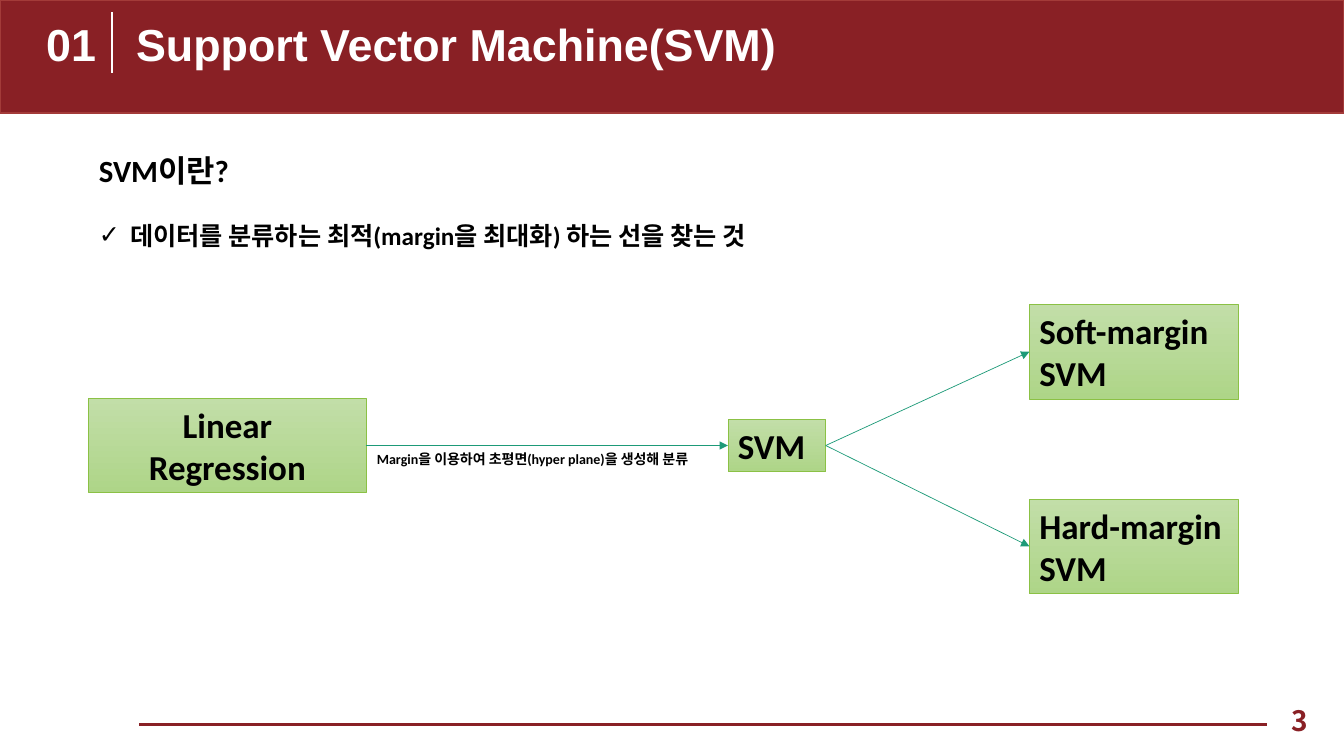
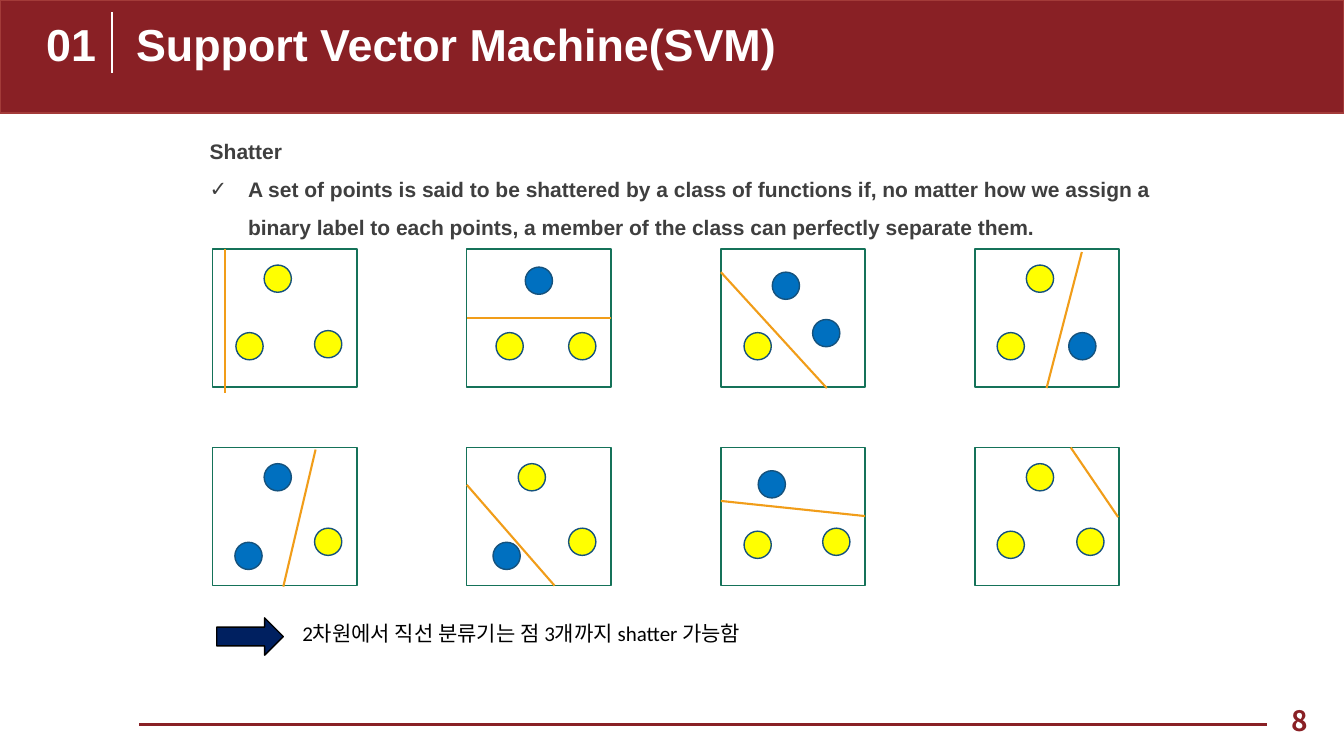
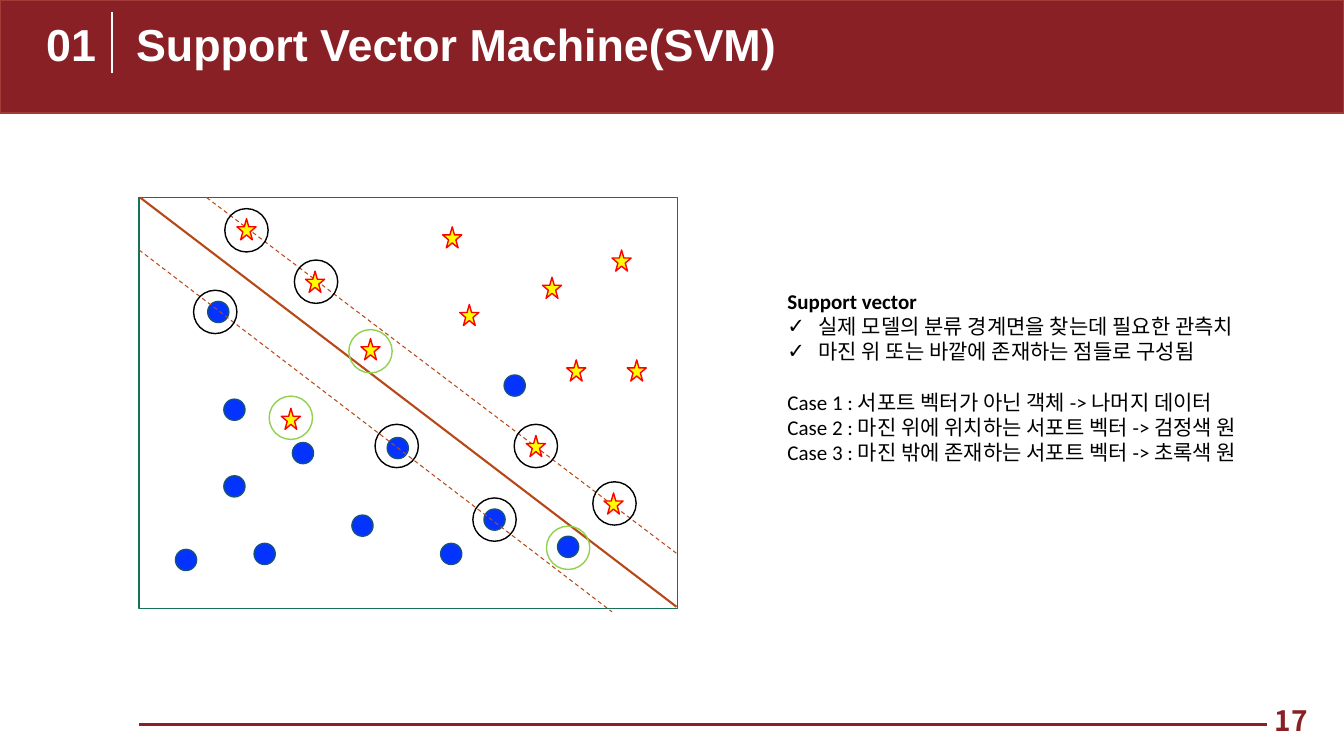
from lxml.etree import SubElement
from pptx import Presentation
from pptx.dml.color import RGBColor
from pptx.enum.dml import MSO_LINE
from pptx.enum.shapes import MSO_CONNECTOR, MSO_SHAPE, MSO_SHAPE_TYPE
from pptx.enum.text import MSO_ANCHOR, MSO_AUTO_SIZE, PP_ALIGN
from pptx.oxml.ns import qn
from pptx.util import Inches, Pt

CRIMSON = RGBColor(0x89, 0x20, 0x25)
BAND_EDGE = RGBColor(0xA3, 0x3B, 0x39)
WHITE = RGBColor(0xFF, 0xFF, 0xFF)
BLACK = RGBColor(0x00, 0x00, 0x00)
CHARCOAL = RGBColor(0x3F, 0x3F, 0x3F)
LIGHT_GREEN = RGBColor(0xC2, 0xDE, 0xA8)
MID_GREEN = RGBColor(0xAE, 0xD5, 0x88)
LEAF_EDGE = RGBColor(0x8B, 0xC1, 0x45)
TEAL = RGBColor(0x1D, 0x9A, 0x78)
FRAME_GREEN = RGBColor(0x15, 0x72, 0x59)
YELLOW = RGBColor(0xFF, 0xFF, 0x00)
BLUE = RGBColor(0x00, 0x70, 0xC0)
BRIGHT_BLUE = RGBColor(0x04, 0x33, 0xFF)
DOT_EDGE = RGBColor(0x15, 0x52, 0x7D)
ORANGE = RGBColor(0xF1, 0x9D, 0x19)
NAVY = RGBColor(0x00, 0x20, 0x60)
RUST = RGBColor(0xB7, 0x49, 0x19)
RED = RGBColor(0xFF, 0x00, 0x00)
LIME = RGBColor(0x92, 0xD0, 0x50)


def draw(slide, kind, box, fill, edge, width=1):
    shape = slide.shapes.add_shape(kind, *map(Inches, box))
    shape.shadow.inherit = False
    if fill is None:
        shape.fill.background()
    else:
        shape.fill.solid()
        shape.fill.fore_color.rgb = fill
    shape.line.color.rgb = edge
    shape.line.width = Pt(width)
    return shape


def write(paragraph, text, size, font="Calibri", colour=BLACK, bold=True, align=PP_ALIGN.LEFT):
    paragraph.alignment = align
    run = paragraph.add_run()
    run.text = text
    run.font.size = Pt(size)
    run.font.name = font
    run.font.bold = bold
    run.font.color.rgb = colour


prs = Presentation()
prs.slide_width = Inches(13.33)
prs.slide_height = Inches(7.5)
layout = prs.slide_layouts[1]
heading = layout.placeholders[0]
heading.left, heading.top, heading.width, heading.height = map(Inches, (1.25, 0.15, 11.11, 0.57))
slides = [prs.slides.add_slide(layout) for _ in range(3)]
overview, shatter, support = slides

# Band and rules: drawn once, then moved to the shared layout
chrome = [draw(overview, MSO_SHAPE.RECTANGLE, (0, 0, 13.33, 1.12), CRIMSON, BAND_EDGE)]
for ends, colour, width in [((1.11, 0.12, 1.11, 0.72), WHITE, 1),
                            ((1.38, 7.19, 12.57, 7.19), CRIMSON, 2.5)]:
    rule = overview.shapes.add_connector(MSO_CONNECTOR.STRAIGHT, *map(Inches, ends))
    rule.line.color.rgb = colour
    rule.line.width = Pt(width)
    chrome.append(rule)
for shape_id, piece in enumerate(chrome, start=20):
    piece.element.xpath(".//p:cNvPr")[0].set("id", str(shape_id))
    layout.shapes.element.append(piece.element)

# Title, section number and page number
for slide, page in zip(slides, ("3", "8", "17")):
    title = slide.shapes.title.text_frame
    title.auto_size = MSO_AUTO_SIZE.NONE
    title.vertical_anchor = MSO_ANCHOR.MIDDLE
    write(title.paragraphs[0], "Support Vector Machine(SVM)", 32, "Arial", WHITE)
    section = slide.shapes.add_textbox(*map(Inches, (0.36, 0.12, 0.79, 0.57))).text_frame
    section.word_wrap = True
    write(section.paragraphs[0], "01", 32, "Arial", WHITE)
    page_number = slide.shapes.add_textbox(*map(Inches, (9.42, 6.95, 3.65, 0.4))).text_frame
    page_number.word_wrap = True
    page_number.vertical_anchor = MSO_ANCHOR.MIDDLE
    write(page_number.paragraphs[0], page, 20, "Noto Sans CJK KR", CRIMSON, align=PP_ALIGN.RIGHT)

# Body lists: (text, size, bold, bullet indent, space before)
bodies = [
    (overview, (0.88, 1.46, 8.11, 1.08), "Calibri", BLACK, 1, [
        ("SVM이란?", 22, True, 0, 0),
        ("데이터를 분류하는 최적(margin을 최대화) 하는 선을 찾는 것", 18, True, 0.31, 22)]),
    (shatter, (1.98, 1.2, 10.16, 1.19), "Arial", CHARCOAL, 1.5, [
        ("Shatter", 15, True, 0, 0),
        ("A set of points is said to be shattered by a class of functions if, no matter how we "
         "assign a binary label to each points, a member of the class can perfectly separate "
         "them.", 15, True, 0.38, 0)]),
    (support, (7.71, 2.81, 5.04, 1.87), "Calibri", BLACK, 1, [
        ("Support vector", 15, True, 0, 0),
        ("실제 모델의 분류 경계면을 찾는데 필요한 관측치", 15, False, 0.31, 0),
        ("마진 위 또는 바깥에 존재하는 점들로 구성됨", 15, False, 0.31, 0),
        ("Case 1 : 서포트 벡터가 아닌 객체 -> 나머지 데이터", 15, False, 0, 18),
        ("Case 2 : 마진 위에 위치하는 서포트 벡터 -> 검정색 원", 15, False, 0, 0),
        ("Case 3 : 마진 밖에 존재하는 서포트 벡터 -> 초록색 원", 15, False, 0, 0)]),
]
for slide, box, font, colour, spacing, items in bodies:
    body = slide.placeholders[1]
    body.left, body.top, body.width, body.height = map(Inches, box)
    frame = body.text_frame
    frame.auto_size = MSO_AUTO_SIZE.NONE
    for i, (text, size, bold, indent, gap) in enumerate(items):
        paragraph = frame.add_paragraph() if i else frame.paragraphs[0]
        properties = paragraph._p.get_or_add_pPr()
        properties.set("marL", str(Inches(indent)))
        properties.set("indent", str(-Inches(indent)))
        if indent:
            SubElement(properties, qn("a:buChar")).set("char", "✓")
        else:
            SubElement(properties, qn("a:buNone"))
        paragraph.line_spacing = spacing
        paragraph.space_before = Pt(gap)
        write(paragraph, text, size, font, colour, bold)

# Slide 1: from regression to the SVM variants
models = []
for box, lines, align in [
        ((0.88, 3.95, 2.75, 0.94), ("Linear", "Regression"), PP_ALIGN.CENTER),
        ((7.22, 4.16, 0.97, 0.52), ("SVM",), PP_ALIGN.LEFT),
        ((10.21, 3.02, 2.07, 0.94), ("Soft-margin", "SVM"), PP_ALIGN.LEFT),
        ((10.21, 4.95, 2.07, 0.94), ("Hard-margin", "SVM"), PP_ALIGN.LEFT)]:
    model = draw(overview, MSO_SHAPE.RECTANGLE, box, None, LEAF_EDGE, 0.5)
    model.fill.gradient()
    model.fill.gradient_angle = 270
    for stop, colour in zip(model.fill.gradient_stops, (LIGHT_GREEN, MID_GREEN)):
        stop.color.rgb = colour
    for i, line in enumerate(lines):
        frame = model.text_frame
        write(frame.add_paragraph() if i else frame.paragraphs[0], line, 25, align=align)
    models.append(model)

regression, svm, soft_margin, hard_margin = models
for source, target in [(regression, svm), (svm, soft_margin), (svm, hard_margin)]:
    arrow = overview.shapes.add_connector(MSO_CONNECTOR.STRAIGHT, 0, 0, 0, 0)
    arrow.begin_connect(source, 3)
    arrow.end_connect(target, 1)
    arrow.line.color.rgb = TEAL
    arrow.line.width = Pt(0.5)
    SubElement(arrow.element.spPr.find(qn("a:ln")), qn("a:tailEnd")).set("type", "triangle")

arrow_label = overview.shapes.add_textbox(*map(Inches, (3.64, 4.42, 3.53, 0.27))).text_frame
arrow_label.word_wrap = True
write(arrow_label.paragraphs[0], "Margin을 이용하여 초평면(hyper plane)을 생성해 분류", 10)

# Slide 2: every labelling of three points; offsets are from the panel corner
PANEL_W, PANEL_H, POINT = 1.43, 1.37, 0.27
ACROSS = (0, PANEL_H / 2, PANEL_W, PANEL_H / 2)
labellings = [
    # yellow points, blue points, separating line
    ([(0.51, 0.16), (0.23, 0.83), (1.01, 0.81)], [], (0.12, 0, 0.12, 1.43)),
    ([(0.29, 0.83), (1.01, 0.83)], [(0.58, 0.18)], ACROSS),
    ([(0.23, 0.83)], [(0.51, 0.23), (0.91, 0.7)], (0, 0.23, 1.05, 1.38)),
    ([(0.51, 0.16), (0.22, 0.83)], [(0.93, 0.83)], (1.06, 0.03, 0.71, 1.38)),
    ([(1.01, 0.8)], [(0.51, 0.16), (0.22, 0.94)], (1.02, 0.02, 0.7, 1.38)),
    ([(0.51, 0.16), (1.01, 0.8)], [(0.26, 0.94)], (0.87, 1.37, 0, 0.37)),
    ([(0.23, 0.83), (1.01, 0.8)], [(0.37, 0.23)], (0, 0.53, 1.43, 0.68)),
    ([(0.51, 0.16), (0.22, 0.83), (1.01, 0.8)], [], (1.42, 0.69, 0.95, 0)),
]
for i, (yellow, blue, (x1, y1, x2, y2)) in enumerate(labellings):
    row, column = divmod(i, 4)
    left, top = 2.11 + 2.52 * column, 2.47 + 1.97 * row
    panel = draw(shatter, MSO_SHAPE.RECTANGLE, (left, top, PANEL_W, PANEL_H), None, FRAME_GREEN)
    for colour, points in ((YELLOW, yellow), (BLUE, blue)):
        for x, y in points:
            draw(shatter, MSO_SHAPE.FLOWCHART_CONNECTOR, (left + x, top + y, POINT, POINT),
                 colour, DOT_EDGE)
    separator = shatter.shapes.add_connector(
        MSO_CONNECTOR.STRAIGHT, *map(Inches, (left + x1, top + y1, left + x2, top + y2)))
    if (x1, y1, x2, y2) == ACROSS:
        separator.begin_connect(panel, 1)
        separator.end_connect(panel, 3)
    separator.line.color.rgb = ORANGE
    separator.line.width = Pt(1.5)

conclusion = shatter.shapes.add_textbox(*map(Inches, (2.9, 6.11, 8.33, 0.35))).text_frame
conclusion.word_wrap = True
write(conclusion.paragraphs[0], "2차원에서 직선 분류기는 점 3개까지 shatter 가능함", 15, bold=False)
draw(shatter, MSO_SHAPE.RIGHT_ARROW, (2.15, 6.13, 0.66, 0.37), NAVY, BLACK)

# Slide 3: soft margin with its support vectors
draw(support, MSO_SHAPE.RECTANGLE, (1.38, 1.96, 5.34, 4.08), None, FRAME_GREEN)
for x, y in [(1.74, 5.45), (2.06, 2.99), (2.22, 3.96), (2.22, 4.72), (2.9, 4.39), (3.49, 5.11),
             (5, 3.72), (3.84, 4.34), (2.52, 5.39), (4.37, 5.39), (4.8, 5.05), (5.53, 5.32)]:
    draw(support, MSO_SHAPE.FLOWCHART_CONNECTOR, (x, y, 0.21, 0.21), BRIGHT_BLUE, DOT_EDGE)

for ends, width, dash in [((1.39, 1.96, 6.71, 6.02), 1.5, None),
                          ((1.38, 2.48, 6.07, 6.07), 0.75, MSO_LINE.DASH),
                          ((2.05, 1.96, 6.71, 5.49), 0.75, MSO_LINE.DASH)]:
    boundary = support.shapes.add_connector(MSO_CONNECTOR.STRAIGHT, *map(Inches, ends))
    boundary.line.color.rgb = RUST
    boundary.line.width = Pt(width)
    boundary.line.dash_style = dash

for x, y in [(3.58, 3.36), (3.03, 2.69), (2.35, 2.17), (2.79, 4.05), (4.39, 2.25), (6.07, 2.48),
             (5.99, 4.89), (5.22, 4.32), (4.56, 3.02), (5.62, 3.57), (5.38, 2.75), (6.22, 3.57)]:
    draw(support, MSO_SHAPE.STAR_5_POINT, (x, y, 0.19, 0.21), YELLOW, RED)

on_margin = [(2.23, 2.07), (2.92, 2.58), (5.1, 4.21), (5.88, 4.78), (4.69, 4.94), (3.72, 4.21),
             (1.92, 2.88)]
beyond_margin = [(2.67, 3.93), (3.46, 3.27), (5.42, 5.22)]
for colour, rings in ((BLACK, on_margin), (LIME, beyond_margin)):
    for x, y in rings:
        draw(support, MSO_SHAPE.FLOWCHART_CONNECTOR, (x, y, 0.43, 0.43), None, colour)

# Connectors carry a theme shadow until given an empty effect list
for page in (layout, *slides):
    for shape in page.shapes:
        if shape.shape_type == MSO_SHAPE_TYPE.LINE:
            SubElement(shape.element.spPr, qn("a:effectLst"))

prs.save("out.pptx")
